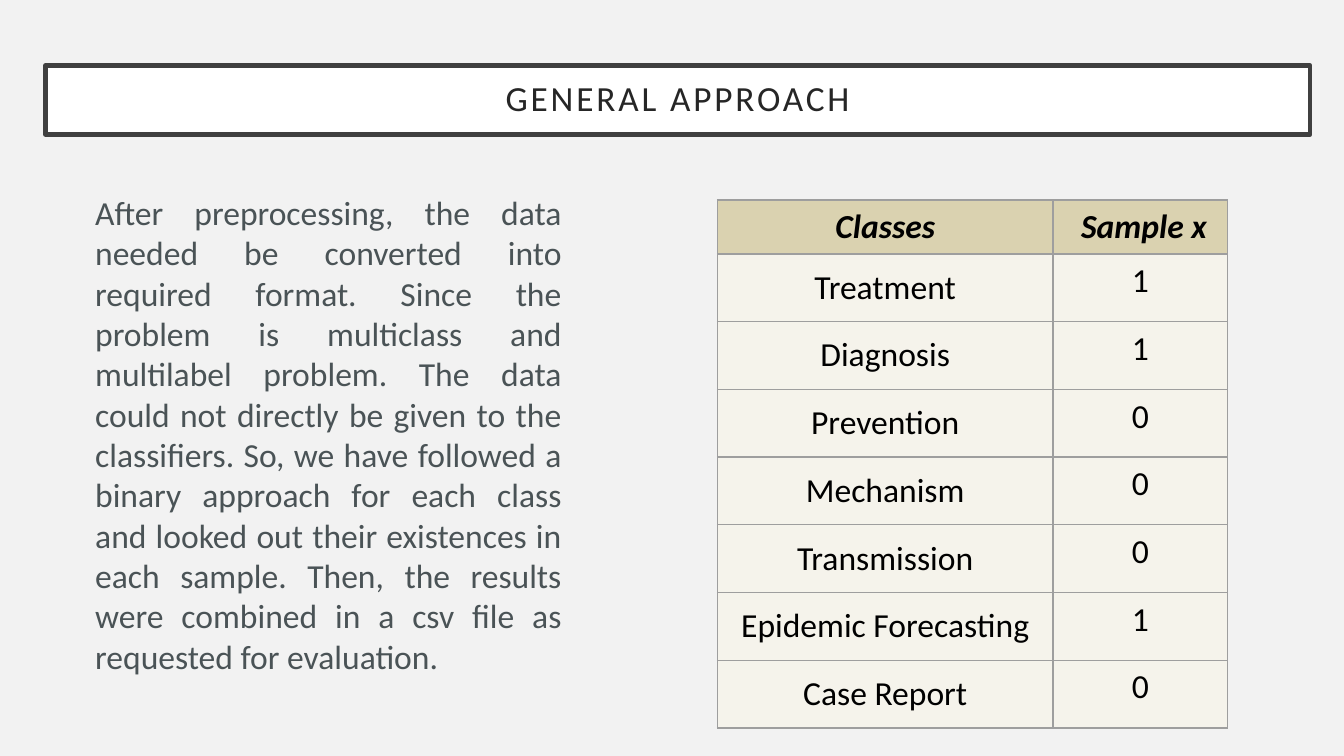
from lxml import etree
from pptx import Presentation
from pptx.dml.color import RGBColor
from pptx.enum import shapes, text
from pptx.oxml import ns
from pptx.util import Cm, Pt

TITLE = "GENERAL APPROACH"
BODY = (
    "After preprocessing, the data needed be converted into required format. "
    "Since the problem is multiclass and multilabel problem. The data could not "
    "directly be given to the classifiers. So, we have followed a binary approach "
    "for each class and looked out their existences in each sample. Then, the "
    "results were combined in a csv file as requested for evaluation."
)
ROWS = [
    ("Classes", " Sample x"),
    ("Treatment", "1"),
    ("Diagnosis", "1"),
    ("Prevention", "0"),
    ("Mechanism", "0"),
    ("Transmission", "0"),
    ("Epidemic Forecasting", "1"),
    ("Case Report", "0"),
]
WIDTHS = (6.34, 3.3)
HEAD, ROW = 1.02, 1.28
PAD = 0.25
ALIGN = text.PP_ALIGN


def color(code):
    """Turn a hex string into a colour."""
    return RGBColor.from_string(code)


def paint(fill, code):
    """Make a fill solid."""
    fill.solid()
    fill.fore_color.rgb = color(code)


def write(frame, words, code, align=ALIGN.CENTER, **style):
    """Put one formatted paragraph in a text frame."""
    para = frame.paragraphs[0]
    para.alignment = align
    run = para.add_run()
    run.text = words
    run.font.color.rgb = color(code)
    for key, value in {"name": "Calibri", "size": Pt(18), **style}.items():
        setattr(run.font, key, value)
    return run


def pad(item):
    """Set equal margins on a text frame or cell."""
    for side in ("left", "top", "right", "bottom"):
        setattr(item, "margin_" + side, Cm(PAD))


def edge(cell, code, width):
    """Draw the four borders of a cell."""
    props = cell._tc.get_or_add_tcPr()
    for side in ("lnL", "lnR", "lnT", "lnB"):
        line = etree.SubElement(props, ns.qn("a:" + side), w=str(Pt(width)))
        solid = etree.SubElement(line, ns.qn("a:solidFill"))
        etree.SubElement(solid, ns.qn("a:srgbClr"), val=code)


def add_title(slide):
    """Add the framed heading."""
    bar = slide.shapes.add_shape(
        shapes.MSO_SHAPE.RECTANGLE, Cm(0.86), Cm(1.24), Cm(23.9), Cm(1.3))
    bar.shadow.inherit = False
    paint(bar.fill, "FFFFFF")
    bar.line.color.rgb = color("404040")
    bar.line.width = Pt(2.5)
    frame = bar.text_frame
    pad(frame)
    frame.vertical_anchor = text.MSO_ANCHOR.MIDDLE
    run = write(frame, TITLE, "262626", size=Pt(18.9))
    run.font._element.set("spc", "150")
    frame.paragraphs[0].line_spacing = 0.9


def add_body(slide):
    """Add the justified explanation."""
    box = slide.shapes.add_textbox(Cm(1.55), Cm(3.38), Cm(9.32), Cm(10.52))
    frame = box.text_frame
    frame.word_wrap = True
    pad(frame)
    write(frame, BODY, "4A5356", ALIGN.JUSTIFY)


def add_grid(slide):
    """Add the table of classes."""
    high = HEAD + ROW * (len(ROWS) - 1)
    grid = slide.shapes.add_table(
        len(ROWS), len(WIDTHS), Cm(13.56), Cm(3.78), Cm(sum(WIDTHS)), Cm(high)).table
    for col, width in zip(grid.columns, WIDTHS):
        col.width = Cm(width)
    for r, row in enumerate(ROWS):
        top = r == 0
        grid.rows[r].height = Cm(HEAD if top else ROW)
        for c, words in enumerate(row):
            cell = grid.cell(r, c)
            edge(cell, "9E9E9E", 0.75)
            paint(cell.fill, "DAD2B0" if top else "F5F3EB")
            if c == 0 and not top:
                pad(cell)
            write(cell.text_frame, words, "000000", bold=top, italic=top)


deck = Presentation()
deck.slide_width, deck.slide_height = Cm(25.4), Cm(14.29)
slide = deck.slides.add_slide(deck.slide_layouts[6])
paint(slide.background.fill, "F2F2F2")
add_body(slide)
add_title(slide)
add_grid(slide)
deck.save("out.pptx")
